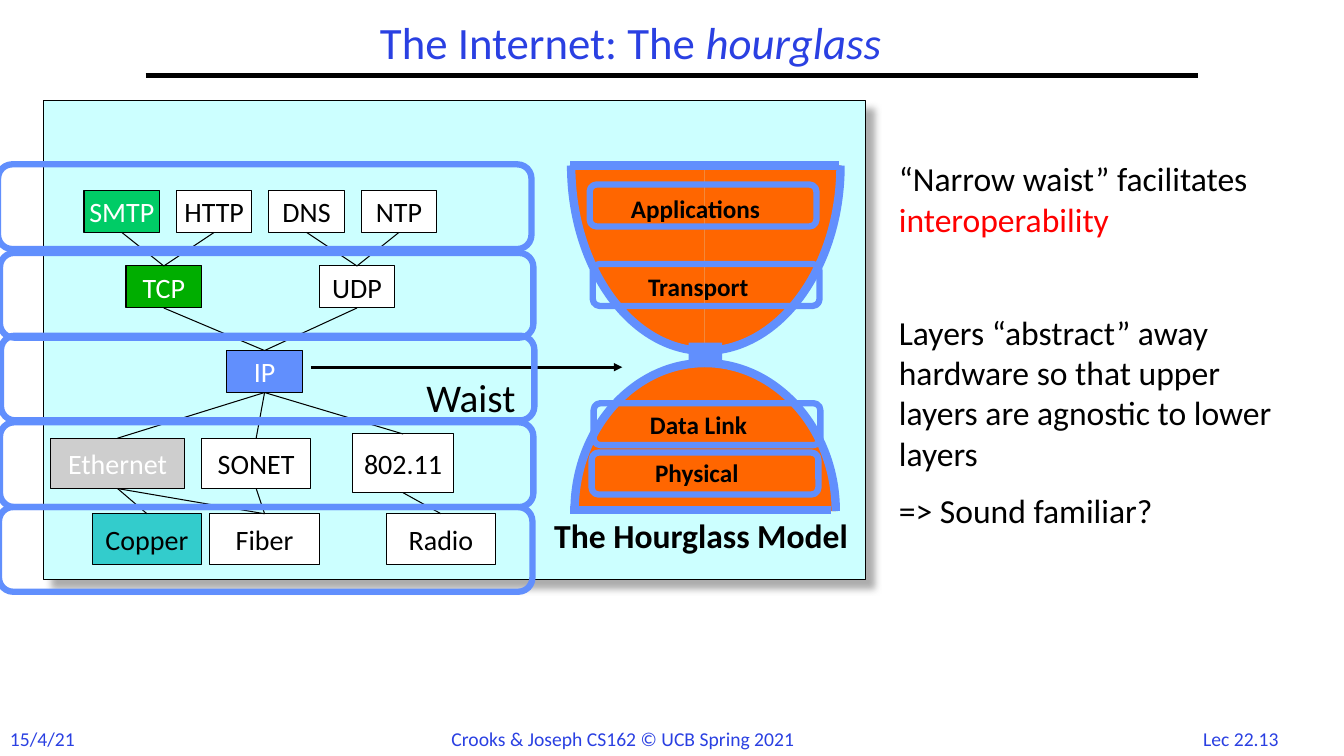
from copy import deepcopy

from lxml import etree
from pptx import Presentation
from pptx.dml.color import RGBColor
from pptx.enum import shapes as kinds, text as layout
from pptx.oxml import ns, parse_xml
from pptx.util import Pt

COLORS = {
    "black": "000000", "white": "FFFFFF", "title": "2A40E2", "red": "FF0000",
    "panel": "CCFFFF", "layer": "618FFD", "glass": "FF6600", "mail": "00CC66",
    "tcp": "00AE00", "ethernet": "CECECE", "copper": "33CCCC",
}
RGB = {name: RGBColor.from_string(value) for name, value in COLORS.items()}
LEFT, CENTER = layout.PP_ALIGN.LEFT, layout.PP_ALIGN.CENTER
RECT, ROUNDED = kinds.MSO_SHAPE.RECTANGLE, kinds.MSO_SHAPE.ROUNDED_RECTANGLE
WAIST = 503.4  # x of the hourglass axis

prs = Presentation()
prs.slide_width, prs.slide_height = Pt(960), Pt(540)
slide = prs.slides.add_slide(prs.slide_layouts[6])
canvas = slide.shapes


def add_line(x1, y1, x2, y2, color, width):
    line = canvas.add_connector(kinds.MSO_CONNECTOR.STRAIGHT, Pt(x1), Pt(y1), Pt(x2), Pt(y2))
    line.line.color.rgb = RGB[color]
    line.line.width = Pt(width)
    etree.SubElement(line._element.spPr, ns.qn("a:effectLst"))
    return line


def add_text(box, paragraphs, size, color="black", align=LEFT, bold=False):
    """Add a wrapping text box; each paragraph is a list of run texts."""
    frame = canvas.add_textbox(*map(Pt, box)).text_frame
    frame.word_wrap = True
    for index, runs in enumerate(paragraphs):
        paragraph = frame.add_paragraph() if index else frame.paragraphs[0]
        for words in runs:
            paragraph.add_run().text = words
        paragraph.alignment = align
        paragraph.font.name, paragraph.font.size = "Calibri", Pt(size)
        paragraph.font.bold = bold
        paragraph.font.color.rgb = RGB[color]
    return frame


# Footer, title and rule
add_text((847.4, 515.5, 78, 24), [["Lec 22.13"]], 14, "title", CENTER)
add_text((0, 515.5, 80, 24), [["15/4/21"]], 14, "title")
add_text((315.4, 515.5, 275, 24), [["Crooks & Joseph CS162 © UCB Spring 2021"]], 14, "title")
add_line(104, 54, 856, 54, "black", 3)

title = add_text((157, 5, 587, 55), [["The Internet: The ", "hourglass"]], 32, "title", CENTER)
title.vertical_anchor = layout.MSO_ANCHOR.MIDDLE
title.paragraphs[0].line_spacing = 0.9
title.paragraphs[0].runs[1].font.italic = True

# Panel with its drop shadow
panel = canvas.add_shape(RECT, Pt(31), Pt(72), Pt(587), Pt(342))
panel.fill.solid()
panel.fill.fore_color.rgb = RGB["panel"]
panel.line.color.rgb = RGB["black"]
panel.line.width = Pt(0.75)
panel._element.spPr.append(parse_xml(
    f'<a:effectLst {ns.nsdecls("a")}>'
    f'<a:outerShdw blurRad="{Pt(5)}" dist="{Pt(8.5)}" dir="2700000" algn="ctr" rotWithShape="0">'
    '<a:srgbClr val="919191"><a:alpha val="75000"/></a:srgbClr></a:outerShdw></a:effectLst>'))

arrow = add_line(222, 262.3, 444.5, 262.3, "black", 2)
etree.SubElement(arrow.line._get_or_add_ln(), ns.qn("a:tailEnd"), type="triangle")

# Hourglass: four quarter ellipses (edge x, apex y, base y), only the arc is outlined
for edge, apex, base in [(597, 259.3, 365), (410.4, 259.3, 365),
                         (600.4, 250.6, 118.2), (408, 250.6, 118.2)]:
    outline = canvas.build_freeform(Pt(WAIST), Pt(apex))
    outline.add_line_segments([(Pt(edge), Pt(base)), (Pt(WAIST), Pt(base))], close=True)
    quarter = outline.convert_to_shape()
    quarter.shadow.inherit = False
    quarter.fill.solid()
    quarter.fill.fore_color.rgb = RGB["glass"]
    quarter.line.color.rgb = RGB["layer"]
    quarter.line.width = Pt(6)

    body = next(quarter._element.iter(ns.qn("a:path")))
    (x0, y0), (x1, y1) = [(int(p.get("x")), int(p.get("y")))
                          for p in list(body.iter(ns.qn("a:pt")))[:2]]
    curve = etree.Element(ns.qn("a:cubicBezTo"))
    for x, y in [(x0 + 0.55 * (x1 - x0), y0), (x1, y1 - 0.55 * (y1 - y0)), (x1, y1)]:
        etree.SubElement(curve, ns.qn("a:pt"), x=str(round(x)), y=str(round(y)))
    body.replace(body[1], curve)
    arc = deepcopy(body)
    for step in arc[2:]:
        arc.remove(step)
    arc.set("fill", "none")
    body.set("stroke", "0")
    body.addprevious(arc)

add_line(407.5, 118.2, 599, 118.2, "layer", 6)
add_line(407.5, 364.5, 593.5, 364.5, "layer", 6)
neck = canvas.add_shape(RECT, Pt(491.8), Pt(244.8), Pt(24), Pt(17.3))
neck.shadow.inherit = False
neck.fill.solid()
neck.fill.fore_color.rgb = RGB["layer"]
neck.line.fill.background()

for label, x, y in [("Applications", 443.5, 134.6), ("Transport", 455.8, 190.4),
                    ("Data Link", 457.2, 288.7), ("Physical", 460.8, 323.3)]:
    add_text((x, y, 123, 29), [[label]], 18, bold=True)
add_text((388.8, 364.5, 260, 37), [["The Hourglass Model"]], 24, bold=True)
add_text((297.4, 262.8, 126, 41), [["Waist"]], 28)

notes = add_text((635, 109.4, 297, 254), [
    ["“Narrow waist” facilitates ", "interoperability"],
    ["Layers “abstract” away hardware so that upper layers are agnostic to lower layers"],
    ["=> Sound familiar?"],
], 24)
notes.paragraphs[0].runs[1].font.color.rgb = RGB["red"]
notes.paragraphs[1].space_before = Pt(52)
notes.paragraphs[2].space_before = Pt(12)

# Protocols: left, top, width, height, fill, text colour
protocols = {
    "SMTP": (60, 136, 54, 30, "mail", "white"),
    "HTTP": (126, 136, 54, 30, "white", "black"),
    "DNS": (192, 136, 54, 30, "white", "black"),
    "NTP": (258, 136, 54, 30, "white", "black"),
    "TCP": (90, 190, 54, 30, "tcp", "white"),
    "UDP": (228, 190, 54, 30, "white", "black"),
    "IP": (162, 250.4, 54, 30, "layer", "white"),
    "Ethernet": (36, 313, 96, 36, "ethernet", "white"),
    "SONET": (144, 313, 78, 36, "white", "black"),
    "802.11": (252, 310, 72, 42, "white", "black"),
    "Copper": (66, 367, 78, 36, "copper", "black"),
    "Fiber": (150, 367, 78, 36, "white", "black"),
    "Radio": (276, 367, 78, 36, "white", "black"),
}
nodes = {}
for protocol, (x, y, width, height, fill, ink) in protocols.items():
    node = canvas.add_shape(RECT, Pt(x), Pt(y), Pt(width), Pt(height))
    node.shadow.inherit = False
    node.fill.solid()
    node.fill.fore_color.rgb = RGB[fill]
    node.line.color.rgb = RGB["black"]
    node.line.width = Pt(0.75)
    node.text_frame.text = protocol
    node.text_frame.word_wrap = False
    node.text_frame.vertical_anchor = layout.MSO_ANCHOR.MIDDLE
    caption = node.text_frame.paragraphs[0]
    caption.alignment = CENTER
    caption.font.name, caption.font.size = "Calibri", Pt(20)
    caption.font.color.rgb = RGB[ink]
    nodes[protocol] = node

for upper, lower in [("SMTP", "TCP"), ("HTTP", "TCP"), ("DNS", "UDP"), ("NTP", "UDP"),
                     ("TCP", "IP"), ("UDP", "IP"),
                     ("IP", "Ethernet"), ("IP", "SONET"), ("IP", "802.11"),
                     ("Ethernet", "Copper"), ("Ethernet", "Fiber"),
                     ("SONET", "Fiber"), ("802.11", "Radio")]:
    link = add_line(0, 0, 0, 0, "black", 0.75)
    link.begin_connect(nodes[upper], 2)
    link.end_connect(nodes[lower], 0)

# Layer frames over the protocols, then over the hourglass
bands = [(x, y, 381, 60.5) for x, y in
         [(-1.4, 117.4), (0, 180.7), (0.7, 239.8), (0, 301.7), (-0.7, 362.2)]]
pills = [(x, y, 162, 30) for x, y in
         [(421.2, 131.8), (423.4, 188.6), (424, 288), (422.6, 323.3)]]
for frame_box in bands + pills:
    layer = canvas.add_shape(ROUNDED, *map(Pt, frame_box))
    layer.shadow.inherit = False
    layer.fill.background()
    layer.line.color.rgb = RGB["layer"]
    layer.line.width = Pt(4.5)

prs.save("out.pptx")
